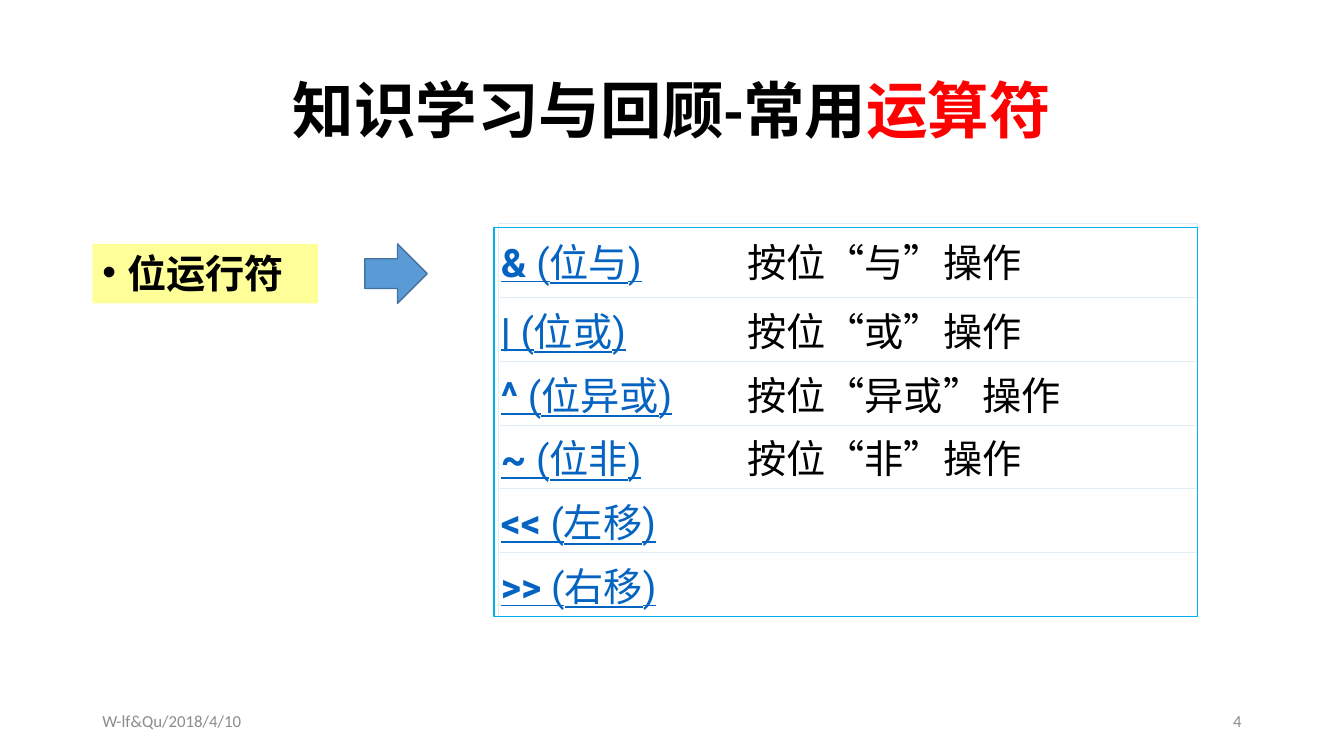
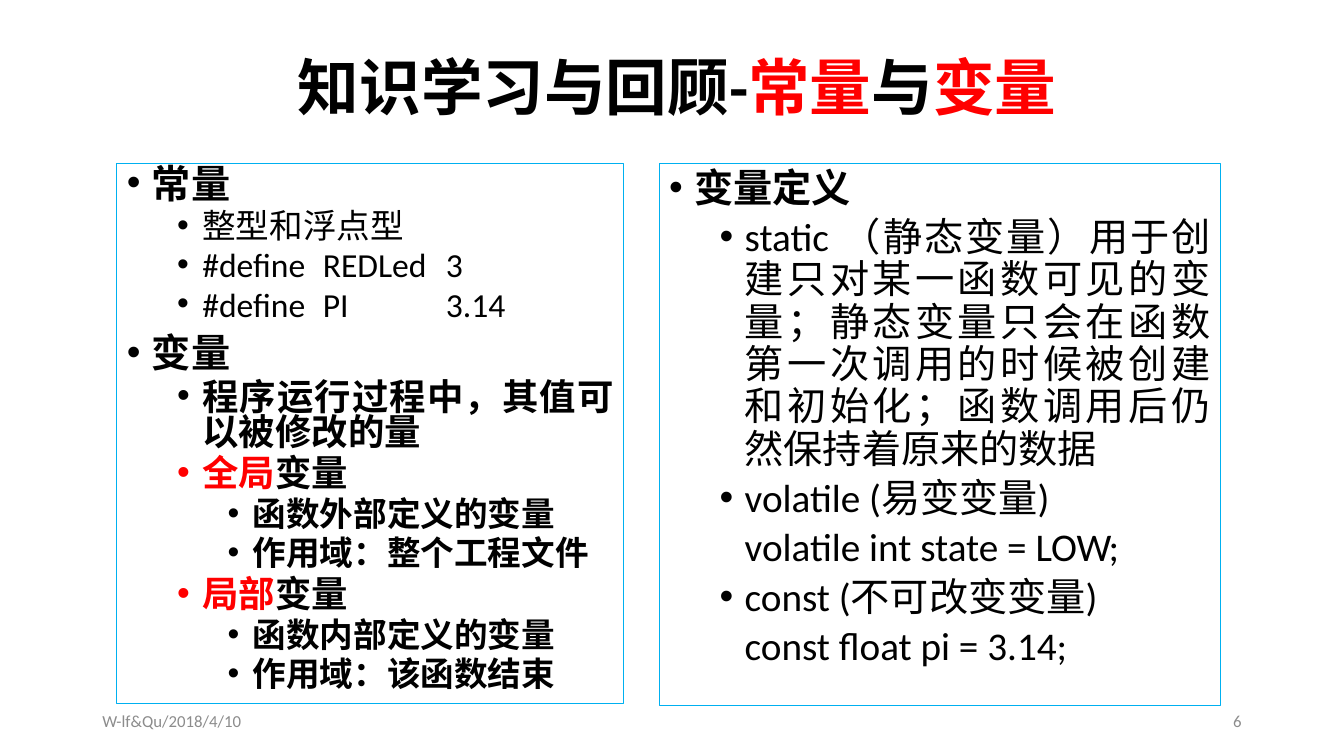
from lxml.etree import SubElement
from pptx import Presentation
from pptx.dml.color import RGBColor
from pptx.enum.shapes import MSO_SHAPE as Shape
from pptx.enum.text import MSO_ANCHOR as Anchor, PP_ALIGN as Align
from pptx.oxml.ns import qn
from pptx.util import Pt

BLACK = RGBColor(0x00, 0x00, 0x00)
RED = RGBColor(0xFF, 0x00, 0x00)
GREY = RGBColor(0x8C, 0x8C, 0x8C)
LINK = RGBColor(0x05, 0x63, 0xC1)
YELLOW = RGBColor(0xFF, 0xFF, 0x99)
ARROW_FILL = RGBColor(0x5B, 0x9B, 0xD5)
ARROW_LINE = RGBColor(0x43, 0x73, 0x9E)
FRAME = RGBColor(0x00, 0xB0, 0xF0)
GRID = RGBColor(0xE3, 0xED, 0xF5)

STEP = 36  # indent added by each outline level
HANG = 18  # room for the bullet


class Deck:
    """Holds the style and the current slide."""

    font = "Calibri"

    def __init__(self):
        self.deck = Presentation()
        self.deck.slide_width, self.deck.slide_height = Pt(960), Pt(540)
        self.page = None

    def new_page(self, title, title_left, title_top, number):
        self.page = self.deck.slides.add_slide(self.deck.slide_layouts[6])
        box = self.text_box(title_left, title_top, 828, 104.4)
        para = box.text_frame.paragraphs[0]
        para.alignment, para.line_spacing = Align.CENTER, 0.9
        for text, color in title:
            self.span(para, text, 44, color, bold=True)
        # Footer
        for left, text, align in ((66, "W-lf&Qu/2018/4/10", Align.LEFT),
                                  (678, str(number), Align.RIGHT)):
            para = self.text_box(left, 500.5, 216, 28.8).text_frame.paragraphs[0]
            para.alignment = align
            self.span(para, text, 12, GREY)

    def text_box(self, left, top, width, height):
        box = self.page.shapes.add_textbox(Pt(left), Pt(top), Pt(width), Pt(height))
        box.text_frame.word_wrap = True
        box.text_frame.vertical_anchor = Anchor.MIDDLE
        return box

    def shape(self, kind, left, top, width, height, fill=None, line=None, weight=1):
        box = self.page.shapes.add_shape(kind, Pt(left), Pt(top), Pt(width), Pt(height))
        box.shadow.inherit = False
        if fill is None:
            box.fill.background()
        else:
            box.fill.solid()
            box.fill.fore_color.rgb = fill
        if line is None:
            box.line.fill.background()
        else:
            box.line.color.rgb = line
            box.line.width = Pt(weight)
        box.text_frame.word_wrap = True
        box.text_frame.vertical_anchor = Anchor.TOP
        return box

    def span(self, para, text, size, color=BLACK, bold=False, underline=False, font=None):
        span = para.add_run()
        span.text = text
        style = span.font
        style.name, style.size = font or self.font, Pt(size)
        style.bold, style.underline = bold, underline
        style.color.rgb = color

    def indent(self, para, level, bullet=True):
        props = para._p.get_or_add_pPr()
        props.set("marL", str(Pt(HANG + STEP * level)))
        props.set("indent", str(Pt(-HANG if bullet else 0)))
        if bullet:
            SubElement(props, qn("a:buFont"), typeface="Arial")
            SubElement(props, qn("a:buChar"), char="•")
        else:
            SubElement(props, qn("a:buNone"))

    def tab_stops(self, para, *stops):
        tabs = SubElement(para._p.get_or_add_pPr(), qn("a:tabLst"))
        for stop in stops:
            SubElement(tabs, qn("a:tab"), pos=str(Pt(stop)), algn="l")

    def outline(self, box, items, spacing):
        """Items are (level, size, bold, bullet, text, red start of the text)."""
        frame = box.text_frame
        for index, (level, size, bold, bullet, text, red) in enumerate(items):
            para = frame.add_paragraph() if index else frame.paragraphs[0]
            para.level, para.alignment = level, Align.JUSTIFY
            para.line_spacing = spacing
            para.space_before = Pt(5 if level else 10)
            self.indent(para, level, bullet)
            if "\t" in text:
                self.tab_stops(para, 140, 228)
            if red:
                self.span(para, red, size, RED, bold)
            self.span(para, text, size, BLACK, bold)

    def cell_borders(self, cell):
        props = cell._tc.get_or_add_tcPr()
        for index, side in enumerate(("lnL", "lnR", "lnT", "lnB")):
            line = props.makeelement(qn("a:" + side), {"w": str(Pt(0.6))})
            fill = SubElement(line, qn("a:solidFill"))
            SubElement(fill, qn("a:srgbClr"), val=str(GRID))
            props.insert(index, line)

    def operator_table(self, rows, left, top, width, heights):
        table = self.page.shapes.add_table(
            len(rows), 1, Pt(left), Pt(top), Pt(width), Pt(sum(heights))).table
        table.first_row = table.horz_banding = False
        table.columns[0].width = Pt(width)
        for index, (symbol, name, meaning, rule) in enumerate(rows):
            table.rows[index].height = Pt(heights[index])
            cell = table.cell(index, 0)
            cell.fill.background()
            cell.vertical_anchor = Anchor.MIDDLE
            cell.margin_left = cell.margin_right = Pt(2.16)
            cell.margin_top = cell.margin_bottom = Pt(2.16)
            self.cell_borders(cell)
            para = cell.text_frame.paragraphs[0]
            self.tab_stops(para, 176)
            self.span(para, symbol, 28, LINK, True, True, "Roboto")
            self.span(para, name, 28, LINK, False, True, "Roboto")
            if meaning or rule:
                self.span(para, "\t" + meaning, 28, BLACK, False, rule, "Roboto")


def operators_page(deck):
    deck.new_page([("知识学习与回顾-常用", BLACK), ("运算符", RED)], 66, 28.8, 4)

    # Operators: symbol, name, meaning, underlined gap
    rows = [
        ("& ", "(位与)", "按位“与”操作", False),
        ("|", " (位或)", "按位“或”操作", False),
        ("^", " (位异或)", "按位“异或”操作", False),
        ("~ ", "(位非)", "按位“非”操作", False),
        ("<<", " (左移)", "", True),
        (">>", " (右移)", "", False),
    ]
    deck.operator_table(rows, 355.7, 159.8, 499.7, [52.6] + [45.6] * 5)

    # Topic, arrow and frame
    topic = deck.shape(Shape.RECTANGLE, 66, 174.2, 161.3, 42.5, fill=YELLOW)
    para = topic.text_frame.paragraphs[0]
    para.alignment = Align.LEFT
    para.space_before = para.space_after = Pt(6)
    deck.indent(para, 0)
    deck.span(para, "位运行符", 28, bold=True)
    deck.shape(Shape.RIGHT_ARROW, 260.6, 174.2, 44.6, 42.5, ARROW_FILL, ARROW_LINE)
    deck.shape(Shape.RECTANGLE, 352.8, 162.7, 502.6, 277.9, line=FRAME)


def variables_page(deck):
    deck.new_page([("知识学习与回顾-", BLACK), ("常量", RED), ("与", BLACK),
                   ("变量", RED)], 69.8, 12.2, 6)

    # Constants and variables
    left = deck.shape(Shape.RECTANGLE, 83.5, 116.6, 362.2, 385.9, line=FRAME, weight=0.75)
    deck.outline(left, [
        (0, 28, True, True, "常量", ""),
        (1, 24, False, True, "整型和浮点型", ""),
        (1, 24, False, True, "#define\tREDLed\t3", ""),
        (1, 24, False, True, "#define\tPI\t3.14", ""),
        (0, 28, True, True, "变量", ""),
        (1, 26, True, True, "程序运行过程中，其值可以被修改的量", ""),
        (1, 26, True, True, "变量", "全局"),
        (2, 24, True, True, "函数外部定义的变量", ""),
        (2, 24, True, True, "作用域：整个工程文件", ""),
        (1, 26, True, True, "变量", "局部"),
        (2, 24, True, True, "函数内部定义的变量", ""),
        (2, 24, True, True, "作用域：该函数结束", ""),
    ], 0.8)

    # Variable definitions
    right = deck.shape(Shape.RECTANGLE, 470.9, 116.6, 401, 387.4, line=FRAME, weight=0.75)
    deck.outline(right, [
        (0, 28, True, True, "变量定义", ""),
        (1, 28, False, True, "static （静态变量）用于创建只对某一函数可见的变量；"
         "静态变量只会在函数第一次调用的时候被创建和初始化；"
         "函数调用后仍然保持着原来的数据", ""),
        (1, 28, False, True, "volatile (易变变量)", ""),
        (1, 28, False, False, "volatile int state = LOW;", ""),
        (1, 28, False, True, "const (不可改变变量)", ""),
        (1, 28, False, False, "const float pi = 3.14;", ""),
    ], 0.9)


def main():
    deck = Deck()
    operators_page(deck)
    variables_page(deck)
    deck.deck.save("out.pptx")


if __name__ == "__main__":
    main()
